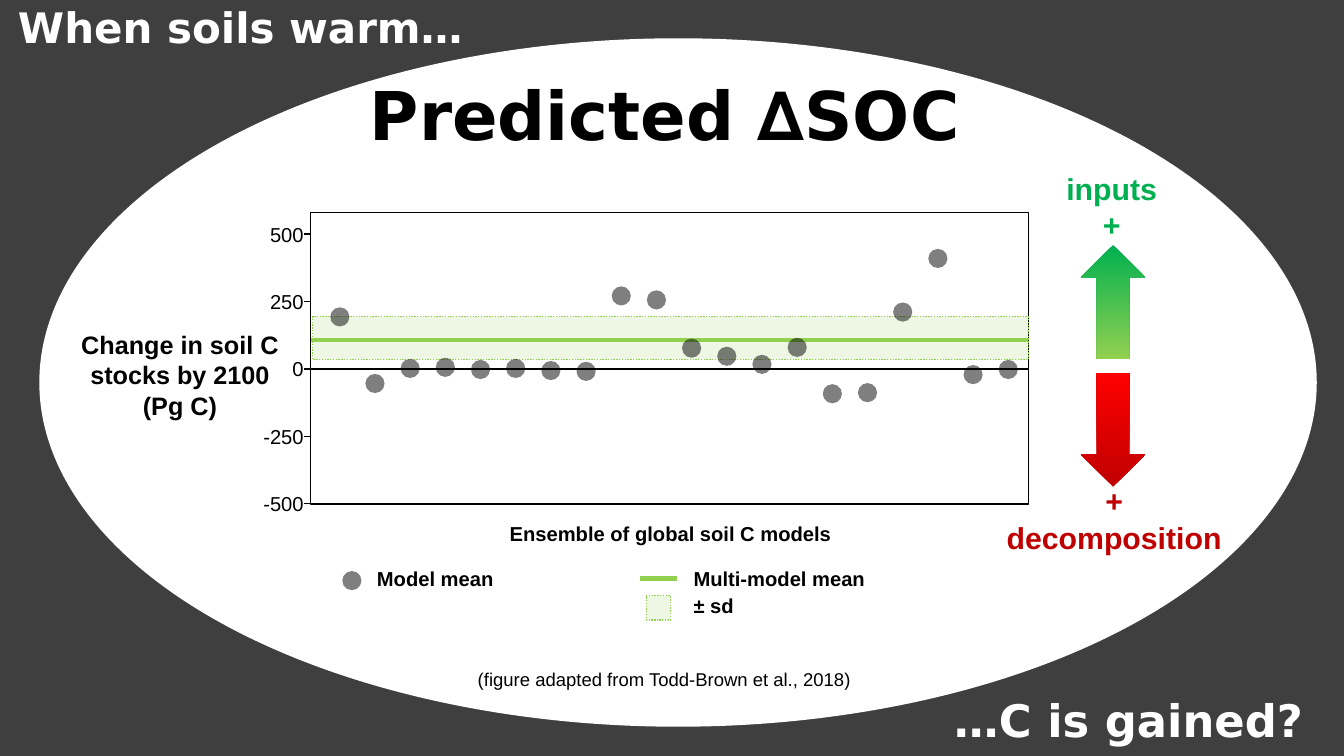
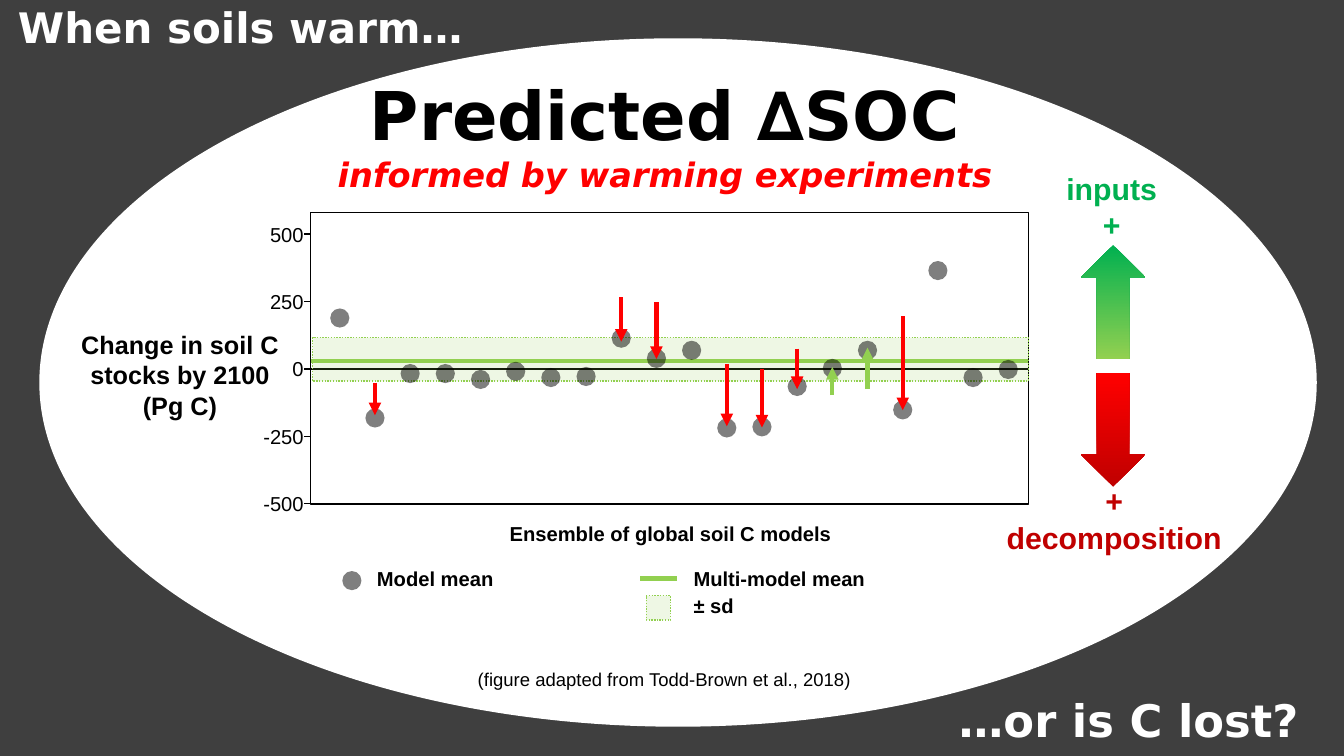
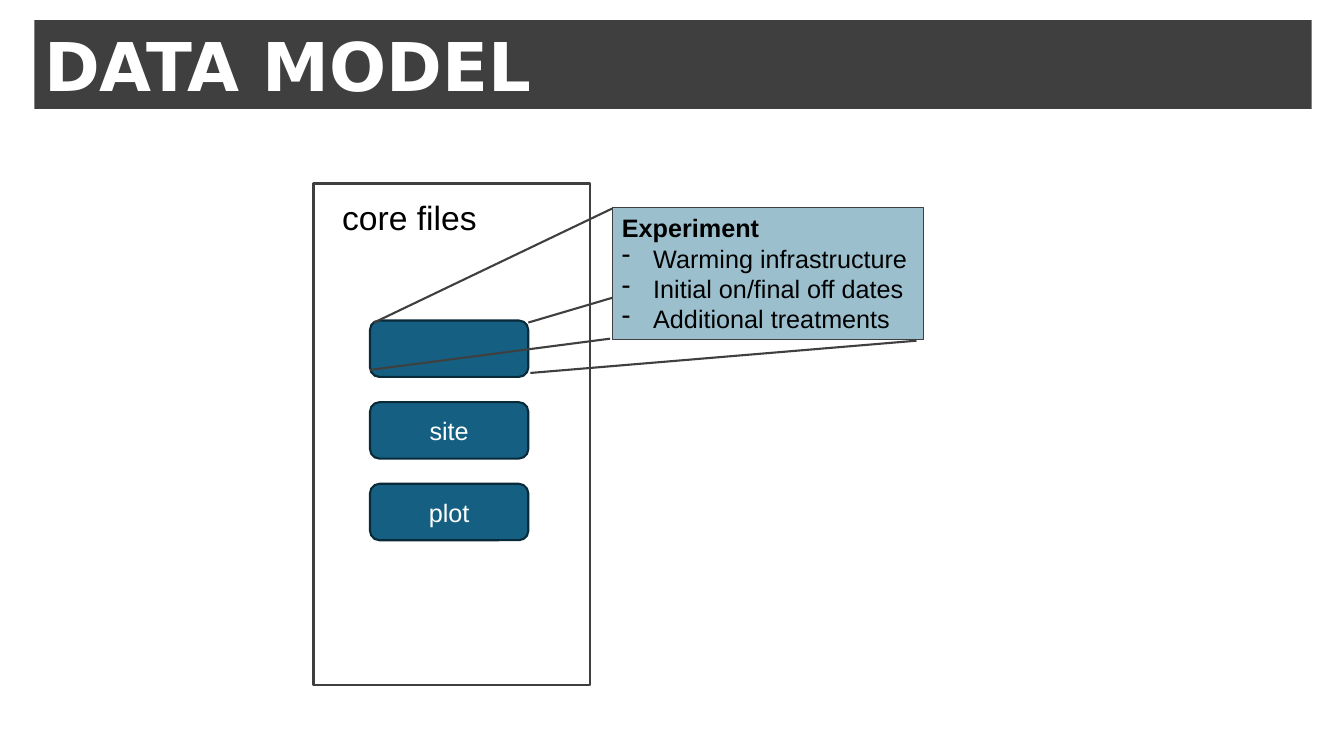
from dataclasses import dataclass

from lxml.etree import SubElement
from pptx import Presentation
from pptx.dml.color import RGBColor
from pptx.enum.dml import MSO_LINE
from pptx.enum.shapes import MSO_CONNECTOR, MSO_SHAPE
from pptx.enum.text import MSO_ANCHOR, PP_ALIGN
from pptx.oxml.ns import qn
from pptx.util import Inches, Pt


@dataclass(frozen=True)
class Theme:
    dark: str = "3F3F3F"
    white: str = "FFFFFF"
    black: str = "000000"
    mean: str = "92D050"
    gain: str = "00B050"
    loss: str = "C00000"
    red: str = "FF0000"
    card: str = "156082"
    card_edge: str = "092A39"
    callout: str = "9BBFCD"
    body_font: str = "Arial"
    title_font: str = "DejaVu Sans"
    title: float = 48
    answer: float = 32
    question: float = 30
    subtitle: float = 24
    flux: float = 21.6
    body: float = 18
    label: float = 14.4
    source: float = 13.2


THEME = Theme()
LEFT, CENTER, RIGHT = PP_ALIGN.LEFT, PP_ALIGN.CENTER, PP_ALIGN.RIGHT


@dataclass(frozen=True)
class TextStyle:
    size: float
    color: str = THEME.black
    bold: bool = False
    italic: bool = False
    font: str = THEME.body_font


TITLE = TextStyle(THEME.title, bold=True, font=THEME.title_font)
BANNER = TextStyle(THEME.title, THEME.white, True, font=THEME.title_font)
SUBTITLE = TextStyle(THEME.subtitle, THEME.red, True, True, THEME.title_font)
QUESTION = TextStyle(THEME.question, THEME.white, True, font=THEME.title_font)
ANSWER = TextStyle(THEME.answer, THEME.white, True, font=THEME.title_font)
BODY = TextStyle(THEME.body)
BODY_BOLD = TextStyle(THEME.body, bold=True)
CARD = TextStyle(THEME.body, THEME.white)
TICK = TextStyle(THEME.label)
LABEL = TextStyle(THEME.label, bold=True)
SOURCE = TextStyle(THEME.source)
HEADING = TextStyle(THEME.subtitle)

DOT = 0.19
UNITS_PER_INCH = 374
TICKS = (500, 250, 0, -250, -500)


@dataclass(frozen=True)
class Prediction:
    """One set of model results, in Pg C; shifts are (model, start, end)."""
    answer: str
    models: tuple
    mean: float
    sd_range: tuple
    subtitle: str = ""
    shifts: tuple = ()


PREDICTIONS = (
    Prediction(
        "…C is gained?",
        (193, -54, 2, 6, -2, 2, -6, -9, 271, 256,
         77, 47, 17, 80, -92, -88, 211, 410, -21, -2),
        108, (195, 34)),
    Prediction(
        "…or is C lost?",
        (189, -182, -17, -17, -39, -9, -32, -28, 114, 39,
         69, -219, -215, -65, 2, 69, -152, 365, -32, -2),
        30, (116, -45),
        "informed by warming experiments",
        ((1, -52, -172), (8, 266, 101), (9, 247, 37), (11, 19, -213),
         (12, 0, -217), (13, 75, -75), (14, -97, 7), (15, -75, 79),
         (16, 195, -153))),
)


def rgb(color):
    return RGBColor.from_string(color)


def write(frame, paragraphs, align=LEFT, anchor=MSO_ANCHOR.TOP, wrap=True):
    """Fill a text frame from (text, style) pairs, one per paragraph."""
    frame.word_wrap = wrap
    frame.vertical_anchor = anchor
    for index, (text, style) in enumerate(paragraphs):
        paragraph = frame.paragraphs[0] if index == 0 else frame.add_paragraph()
        paragraph.alignment = align
        run = paragraph.add_run()
        run.text = text
        run.font.name = style.font
        run.font.size = Pt(style.size)
        run.font.bold = style.bold
        run.font.italic = style.italic
        run.font.color.rgb = rgb(style.color)


def add_text(slide, box, paragraphs, align=LEFT):
    holder = slide.shapes.add_textbox(*map(Inches, box))
    write(holder.text_frame, paragraphs, align)


def add_block(slide, kind, box, fill=None, line=None, width=1, opacity=100):
    block = slide.shapes.add_shape(kind, *map(Inches, box))
    block.shadow.inherit = False
    if fill:
        block.fill.solid()
        block.fill.fore_color.rgb = rgb(fill)
        if opacity < 100:
            color = block.element.spPr.find(qn("a:solidFill"))[0]
            SubElement(color, qn("a:alpha"), val=str(opacity * 1000))
    else:
        block.fill.background()
    if line:
        block.line.color.rgb = rgb(line)
        block.line.width = Pt(width)
    else:
        block.line.fill.background()
    return block


def add_line(slide, start, end, color=THEME.black, width=1, arrow=False):
    line = slide.shapes.add_connector(
        MSO_CONNECTOR.STRAIGHT, *map(Inches, (*start, *end)))
    line.line.color.rgb = rgb(color)
    line.line.width = Pt(width)
    if arrow:
        SubElement(line.line._get_or_add_ln(), qn("a:tailEnd"), type="triangle")
    SubElement(line.element.spPr, qn("a:effectLst"))


def add_dot(slide, x, y):
    """Draw a model mean centred on x, y."""
    add_block(slide, MSO_SHAPE.OVAL, (x - DOT / 2, y - DOT / 2, DOT, DOT),
              THEME.black, opacity=50)


def add_sd_band(slide, box):
    band = add_block(slide, MSO_SHAPE.RECTANGLE, box, THEME.mean, THEME.mean,
                     opacity=15)
    band.line.dash_style = MSO_LINE.ROUND_DOT


def add_plot(slide, box, prediction):
    left, top, width, height = box
    right = left + width
    zero = top + 1.55

    def value_y(value):
        return zero - value / UNITS_PER_INCH

    def model_x(index):
        return left + 0.29 + index * 6.63 / (len(prediction.models) - 1)

    for tick in TICKS:
        y = value_y(tick)
        add_text(slide, (left - 0.65, y - 0.17, 0.68, 0.34),
                 [(str(tick), TICK)], RIGHT)
        add_line(slide, (left - 0.06, y), (left if tick else right, y))
    add_block(slide, MSO_SHAPE.RECTANGLE, box, line=THEME.black)

    high, low = map(value_y, prediction.sd_range)
    add_sd_band(slide, (left + 0.02, high, width - 0.02, low - high))
    mean = value_y(prediction.mean)
    add_line(slide, (left, mean), (right, mean), THEME.mean, 3)
    for index, value in enumerate(prediction.models):
        add_dot(slide, model_x(index), value_y(value))
    for index, start, end in prediction.shifts:
        x = model_x(index)
        add_line(slide, (x, value_y(start)), (x, value_y(end)),
                 THEME.mean if end > start else THEME.red, 3, arrow=True)

    add_text(slide, (left - 2.38, top + 1.11, 2.17, 1.01),
             [("Change in soil C stocks by 2100", BODY_BOLD),
              ("(Pg C)", BODY_BOLD)], CENTER)
    add_text(slide, (left + 1.68, top + height + 0.12, 3.78, 0.34),
             [("Ensemble of global soil C models", LABEL)], CENTER)


def add_legend(slide, left, top):
    add_dot(slide, left + 0.1, top + 0.19)
    add_line(slide, (left + 2.96, top + 0.17), (left + 3.32, top + 0.17),
             THEME.mean, 3)
    add_sd_band(slide, (left + 3.02, top + 0.34, 0.24, 0.24))
    for x, y, text in ((0.25, 0, "Model mean"), (3.39, 0, "Multi-model mean"),
                       (3.39, 0.27, "± sd")):
        add_text(slide, (left + x, top + y, 2.52, 0.34), [(text, LABEL)])


def add_fluxes(slide, left, top):
    """Draw the input and decomposition arrows with their labels."""
    gain = TextStyle(THEME.flux, THEME.gain, True)
    loss = TextStyle(THEME.flux, THEME.loss, True)
    add_text(slide, (left + 0.59, top, 1.29, 0.83),
             [("inputs", gain), ("+", gain)], CENTER)
    add_text(slide, (left, top + 3.1, 2.52, 0.83),
             [("+ decomposition", loss)], CENTER)
    for y, rotation, colors in ((0.79, 180, (THEME.gain, THEME.mean)),
                                (2.06, 0, (THEME.loss, THEME.red))):
        arrow = add_block(slide, MSO_SHAPE.DOWN_ARROW,
                          (left + 0.93, top + y, 0.64, 1.13))
        arrow.rotation = rotation
        arrow.fill.gradient()
        arrow.fill.gradient_angle = 90
        for stop, color in zip(arrow.fill.gradient_stops, colors):
            stop.color.rgb = rgb(color)


def add_slide(deck, background):
    slide = deck.slides.add_slide(deck.slide_layouts[6])
    slide.background.fill.solid()
    slide.background.fill.fore_color.rgb = rgb(background)
    return slide


def add_prediction_slide(deck, prediction):
    slide = add_slide(deck, THEME.dark)
    add_block(slide, MSO_SHAPE.OVAL, (0.39, 0.38, 12.67, 6.83), THEME.white)
    add_plot(slide, (3.08, 2.11, 7.12, 2.89), prediction)
    add_legend(slide, 3.39, 5.57)
    add_fluxes(slide, 9.79, 1.64)
    add_text(slide, (4.64, 6.58, 4.4, 0.32),
             [("(figure adapted from Todd-Brown et al., 2018)", SOURCE)])
    heading = [("Predicted ∆SOC", TITLE)]
    if prediction.subtitle:
        heading.append((prediction.subtitle, SUBTITLE))
    add_text(slide, (2.69, 0.68, 7.81, 1.31), heading, CENTER)
    add_text(slide, (0.08, -0.03, 5, 0.61), [("When soils warm…", QUESTION)])
    add_text(slide, (9.06, 6.82, 4.27, 0.64),
             [(prediction.answer, ANSWER)], CENTER)


def add_core_files(slide, left, top):
    """Draw the stack of core files inside its frame."""
    for index, name in enumerate(("", "site", "plot")):
        card = add_block(slide, MSO_SHAPE.ROUNDED_RECTANGLE,
                         (left + 0.56, top + 1.36 + index * 0.81, 1.57, 0.56),
                         THEME.card, THEME.card_edge, 1.5)
        if name:
            write(card.text_frame, [(name, CARD)], CENTER, MSO_ANCHOR.MIDDLE)
    add_text(slide, (left + 0.04, top + 0.08, 1.82, 0.5),
             [("core files", HEADING)], CENTER)
    add_block(slide, MSO_SHAPE.RECTANGLE, (left, top, 2.74, 4.98),
              line=THEME.dark, width=1.5)


def add_experiment(slide, box):
    callout = add_block(slide, MSO_SHAPE.RECTANGLE, box, THEME.callout,
                        THEME.dark, 0.75)
    details = ("Warming infrastructure", "Initial on/final off dates",
               "Additional treatments")
    write(callout.text_frame,
          [("Experiment", BODY_BOLD), *((detail, BODY) for detail in details)],
          wrap=False)
    for paragraph in callout.text_frame.paragraphs[1:]:
        properties = paragraph._p.get_or_add_pPr()
        properties.set("marL", str(Inches(0.31)))
        properties.set("indent", str(Inches(-0.31)))
        SubElement(properties, qn("a:buChar"), char="-")


def add_data_model_slide(deck):
    slide = add_slide(deck, THEME.white)
    rays_behind = (((5.24, 3.2), (9.07, 2.07)), ((5.26, 3.7), (9.09, 3.38)))
    rays_in_front = (((3.71, 3.2), (6.07, 2.07)), ((3.67, 3.67), (6.05, 3.36)))
    for start, end in rays_behind:
        add_line(slide, start, end, THEME.dark, 1.5)
    banner = add_block(slide, MSO_SHAPE.RECTANGLE, (0.34, 0.2, 12.67, 0.88),
                       THEME.dark)
    write(banner.text_frame, [("DATA MODEL", BANNER)],
          anchor=MSO_ANCHOR.MIDDLE)
    add_core_files(slide, 3.11, 1.82)
    add_experiment(slide, (6.07, 2.06, 3.09, 1.31))
    for start, end in rays_in_front:
        add_line(slide, start, end, THEME.dark, 1.5)


def main():
    deck = Presentation()
    deck.slide_width, deck.slide_height = Inches(13.33), Inches(7.5)
    for prediction in PREDICTIONS:
        add_prediction_slide(deck, prediction)
    add_data_model_slide(deck)
    deck.save("out.pptx")


if __name__ == "__main__":
    main()
